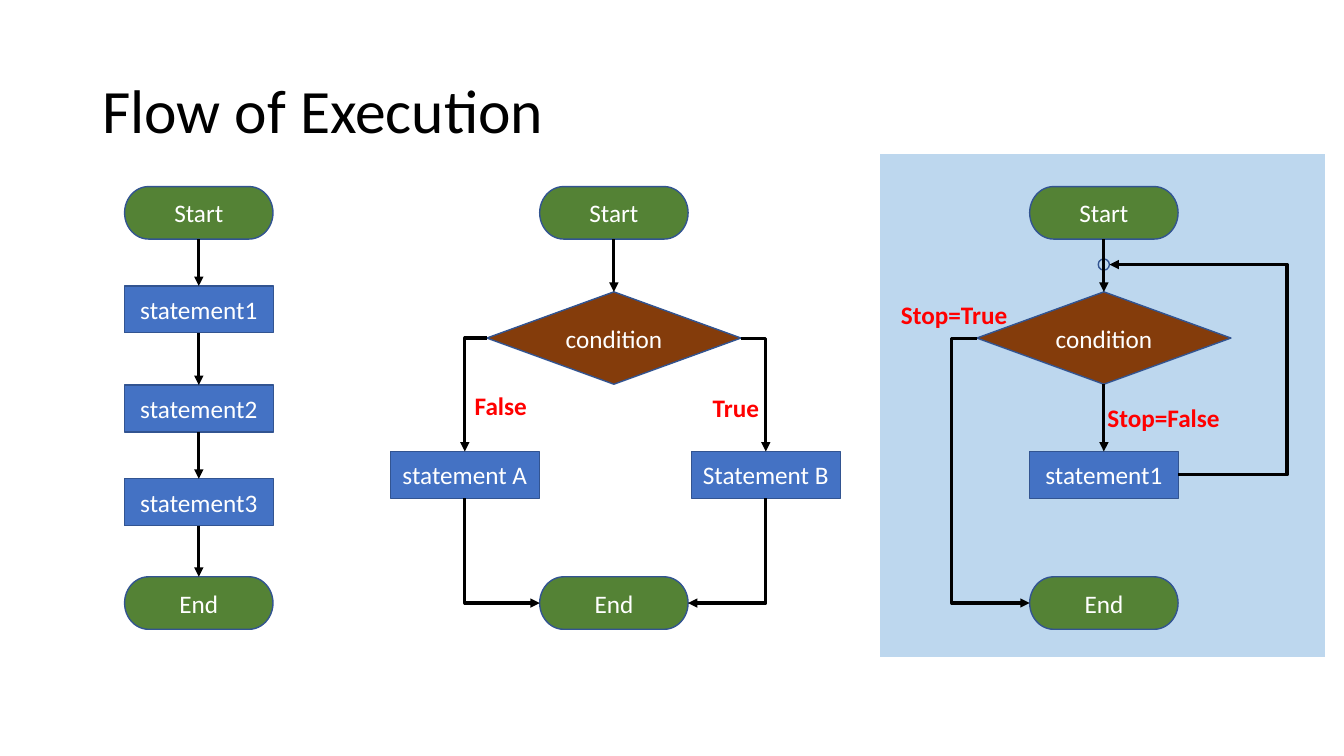
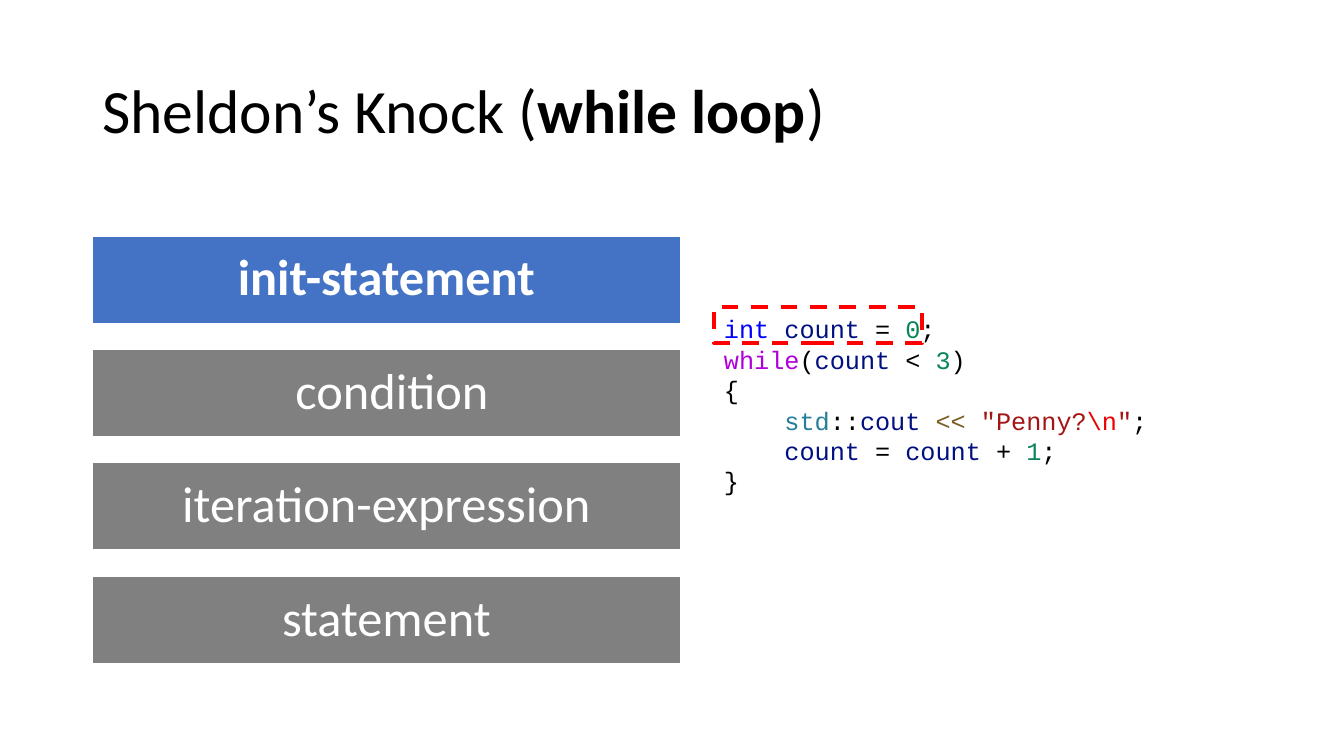
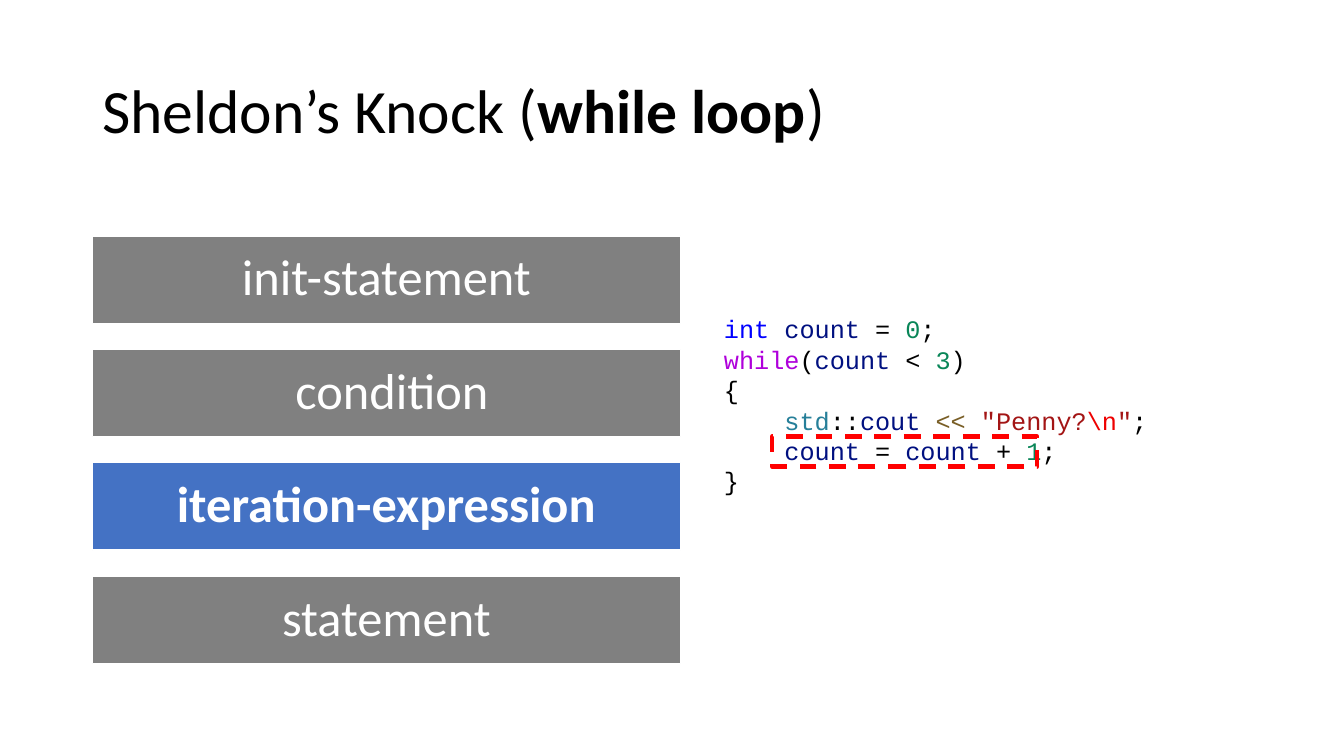
from dataclasses import dataclass
from typing import Any, NamedTuple

import lxml.etree
import pptx
import pptx.dml.color
import pptx.enum.dml
import pptx.enum.shapes
import pptx.enum.text
import pptx.oxml.ns
import pptx.shapes.autoshape
import pptx.shapes.connector
import pptx.slide
import pptx.util

Pt = pptx.util.Pt
qn = pptx.oxml.ns.qn
MSO_SHAPE = pptx.enum.shapes.MSO_SHAPE
MSO_CONNECTOR = pptx.enum.shapes.MSO_CONNECTOR
PP_ALIGN = pptx.enum.text.PP_ALIGN
MSO_ANCHOR = pptx.enum.text.MSO_ANCHOR
TOP, LEFT, BOTTOM, RIGHT = range(4)


@dataclass(frozen=True)
class Theme:
    font: str = "Calibri"
    code_font: str = "Courier New"
    title_size: float = 44
    bar_size: float = 36
    body_size: float = 18
    black: str = "000000"
    white: str = "FFFFFF"
    red: str = "FF0000"
    blue: str = "4472C4"
    gray: str = "808080"
    green: str = "548235"
    brown: str = "843C0B"
    outline: str = "325491"
    panel: str = "BDD7EE"
    keyword: str = "0000FF"
    control: str = "AF00DB"
    variable: str = "001080"
    number: str = "098658"
    namespace: str = "267F99"
    operator: str = "795E26"
    string: str = "A31515"
    escape: str = "EE0000"


THEME = Theme()


class Box(NamedTuple):
    x: float
    y: float
    w: float
    h: float


class Run(NamedTuple):
    text: str
    color: str = THEME.black
    bold: bool = False


class CodeLine(NamedTuple):
    runs: list[Run]
    indent: float = 0


class NodeStyle(NamedTuple):
    kind: Any
    fill: str
    w: float
    h: float


class Node(NamedTuple):
    key: str
    text: str
    style: NodeStyle
    center: float
    top: float


class Link(NamedTuple):
    start: str
    start_side: int
    end: str
    end_side: int


class Elbow(NamedTuple):
    link: Link
    preset: str
    rot: int = 0
    flips: str = ""
    adj: int | None = None
    end_site: int | None = None


class Label(NamedTuple):
    text: str
    x: float
    y: float
    w: float


TERMINATOR = NodeStyle(MSO_SHAPE.FLOWCHART_TERMINATOR, THEME.green, 106, 37.5)
PROCESS = NodeStyle(MSO_SHAPE.FLOWCHART_PROCESS, THEME.blue, 106.5, 33.5)
DECISION = NodeStyle(MSO_SHAPE.FLOWCHART_DECISION, THEME.brown, 181.5, 66)

SEQ_X, BRANCH_X, LOOP_X = 142, 438.5, 788.5
START_Y, DECISION_Y, BODY_Y, END_Y = 133.25, 208.5, 322.5, 412

NODES = [
    Node("seq start", "Start", TERMINATOR, SEQ_X, START_Y),
    Node("seq 1", "statement1", PROCESS, SEQ_X, 204.25),
    Node("seq 2", "statement2", PROCESS, SEQ_X, 275),
    Node("seq 3", "statement3", PROCESS, SEQ_X, 342),
    Node("seq end", "End", TERMINATOR, SEQ_X, END_Y),
    Node("branch start", "Start", TERMINATOR, BRANCH_X, START_Y),
    Node("branch if", "condition", DECISION, BRANCH_X, DECISION_Y),
    Node("branch A", "statement A", PROCESS, 332, BODY_Y),
    Node("branch B", "Statement B", PROCESS, 547, BODY_Y),
    Node("branch end", "End", TERMINATOR, BRANCH_X, END_Y),
    Node("loop start", "Start", TERMINATOR, LOOP_X, START_Y),
    Node("loop if", "condition", DECISION, LOOP_X, DECISION_Y),
    Node("loop body", "statement1", PROCESS, LOOP_X, BODY_Y),
    Node("loop end", "End", TERMINATOR, LOOP_X, END_Y),
]

DOWN_ARROWS = [
    ("seq start", "seq 1"),
    ("seq 1", "seq 2"),
    ("seq 2", "seq 3"),
    ("seq 3", "seq end"),
    ("branch start", "branch if"),
    ("loop start", "loop if"),
    ("loop if", "loop body"),
]

ELBOWS = [
    Elbow(Link("branch if", LEFT, "branch A", TOP), "bentConnector2", 180, "V"),
    Elbow(Link("branch if", RIGHT, "branch B", TOP), "bentConnector2"),
    Elbow(Link("branch A", BOTTOM, "branch end", LEFT), "bentConnector2", 270, "H"),
    Elbow(Link("branch B", BOTTOM, "branch end", RIGHT), "bentConnector2", 90),
    Elbow(Link("loop if", LEFT, "loop end", LEFT), "bentConnector3", 180, "HV", -47500),
    Elbow(Link("loop body", RIGHT, "ring", RIGHT), "bentConnector3", 0, "HV", -157600, 6),
]

LABELS = [
    Label("Stop=False", 784, 283.5, 103),
    Label("False", 332, 275, 60),
    Label("True", 502, 276.5, 54),
    Label("Stop=True", 636.5, 210, 103),
]

INDENT = 43.2
CODE = [
    CodeLine([Run("int ", THEME.keyword), Run("count", THEME.variable), Run(" = "),
              Run("0", THEME.number), Run(";")]),
    CodeLine([Run("while", THEME.control), Run("("), Run("count", THEME.variable),
              Run(" < "), Run("3", THEME.number), Run(")")]),
    CodeLine([Run("{")]),
    CodeLine([Run("std", THEME.namespace), Run("::"), Run("cout ", THEME.variable),
              Run("<< ", THEME.operator), Run('"Penny?', THEME.string),
              Run("\\n", THEME.escape), Run('"', THEME.string), Run(";")], INDENT),
    CodeLine([Run("count", THEME.variable), Run(" = "), Run("count", THEME.variable),
              Run(" + "), Run("1", THEME.number), Run(";")], INDENT),
    CodeLine([Run("}")]),
]

BARS = {"init-statement": 0, "condition": 8, "iteration-expression": 0, "statement": 0}
KNOCK_TITLE = [Run("Sheldon’s Knock ("), Run("while loop", bold=True), Run(")")]
KNOCK_STEPS = [
    ("init-statement", Box(510, 219.5, 148.5, 25.5)),
    ("iteration-expression", Box(551.5, 311.75, 189.5, 21.5)),
]


def rgb(color: str) -> pptx.dml.color.RGBColor:
    return pptx.dml.color.RGBColor.from_string(color)


def apply(target: Any, values: dict[str, Any]) -> None:
    for name, value in values.items():
        setattr(target, name, value)


def add_runs(p: Any, runs: list[Run], size: float, font: str = THEME.font) -> None:
    for run in runs:
        r = p.add_run()
        r.text = run.text
        apply(r.font, {"size": Pt(size), "name": font, "bold": run.bold})
        r.font.color.rgb = rgb(run.color)


def add_box(s: pptx.slide.Slide, kind: Any, box: Box, fill: str | None = None,
            line: str | None = None, width: float = 1) -> pptx.shapes.autoshape.Shape:
    sp = s.shapes.add_shape(kind, *map(Pt, box))
    sp.shadow.inherit = False
    if fill:
        sp.fill.solid()
        sp.fill.fore_color.rgb = rgb(fill)
    else:
        sp.fill.background()
    if line:
        sp.line.color.rgb = rgb(line)
        sp.line.width = Pt(width)
    else:
        sp.line.fill.background()
    return sp


def add_text(s: pptx.slide.Slide, box: Box) -> Any:
    tf = s.shapes.add_textbox(*map(Pt, box)).text_frame
    tf.word_wrap = True
    return tf


def add_title(s: pptx.slide.Slide, runs: list[Run]) -> None:
    tf = add_text(s, Box(66, 28.75, 828, 104.5))
    tf.vertical_anchor = MSO_ANCHOR.MIDDLE
    p = tf.paragraphs[0]
    p.line_spacing = 0.9
    add_runs(p, runs, THEME.title_size)


def add_node(s: pptx.slide.Slide, node: Node) -> pptx.shapes.autoshape.Shape:
    style = node.style
    box = Box(node.center - style.w / 2, node.top, style.w, style.h)
    sp = add_box(s, style.kind, box, style.fill, THEME.outline)
    tf = sp.text_frame
    apply(tf, {"word_wrap": True, "vertical_anchor": MSO_ANCHOR.MIDDLE,
               "margin_left": 0, "margin_right": 0})
    p = tf.paragraphs[0]
    p.alignment = PP_ALIGN.CENTER
    add_runs(p, [Run(node.text, THEME.white)], THEME.body_size)
    return sp


def add_arrow(s: pptx.slide.Slide, shapes: dict[str, Any], link: Link,
              kind: Any = MSO_CONNECTOR.STRAIGHT) -> pptx.shapes.connector.Connector:
    cxn = s.shapes.add_connector(kind, 0, 0, 0, 0)
    cxn.begin_connect(shapes[link.start], link.start_side)
    cxn.end_connect(shapes[link.end], link.end_side)
    cxn.line.color.rgb = rgb(THEME.black)
    cxn.line.width = Pt(2.25)
    props = cxn._element.spPr
    lxml.etree.SubElement(props.find(qn("a:ln")), qn("a:tailEnd"), type="triangle")
    lxml.etree.SubElement(props, qn("a:effectLst"))
    return cxn


def add_elbow(s: pptx.slide.Slide, shapes: dict[str, Any], elbow: Elbow) -> None:
    cxn = add_arrow(s, shapes, elbow.link, MSO_CONNECTOR.ELBOW)
    if elbow.rot in (90, 270):
        w, h = cxn.width, cxn.height
        shift = (w - h) // 2
        apply(cxn, {"left": cxn.left + shift, "top": cxn.top - shift,
                    "width": h, "height": w})
    xfrm = cxn._element.spPr.find(qn("a:xfrm"))
    xfrm.set("rot", str(elbow.rot * 60000))
    for axis in "HV":
        xfrm.set(f"flip{axis}", str(int(axis in elbow.flips)))
    geom = cxn._element.spPr.find(qn("a:prstGeom"))
    geom.set("prst", elbow.preset)
    if elbow.adj is not None:
        guides = geom.find(qn("a:avLst"))
        if guides is None:
            guides = lxml.etree.SubElement(geom, qn("a:avLst"))
        lxml.etree.SubElement(guides, qn("a:gd"), name="adj1", fmla=f"val {elbow.adj}")
    if elbow.end_site is not None:
        cxn._element.find(".//" + qn("a:endCxn")).set("idx", str(elbow.end_site))


def add_bars(s: pptx.slide.Slide, active: str) -> None:
    for i, (text, shift) in enumerate(BARS.items()):
        on = text == active
        box = Box(66, 168.5 + 81 * i, 420, 62.5)
        sp = add_box(s, MSO_SHAPE.RECTANGLE, box, THEME.blue if on else THEME.gray, THEME.white)
        tf = sp.text_frame
        apply(tf, {"word_wrap": True, "vertical_anchor": MSO_ANCHOR.MIDDLE,
                   "margin_left": Pt(10.8 + shift), "margin_right": Pt(10.8),
                   "margin_top": Pt(10.8), "margin_bottom": Pt(10.8)})
        p = tf.paragraphs[0]
        apply(p, {"alignment": PP_ALIGN.CENTER, "line_spacing": 0.9})
        add_runs(p, [Run(text, THEME.white, on)], THEME.bar_size)


def add_code(s: pptx.slide.Slide) -> None:
    tf = add_text(s, Box(510, 220.5, 392.5, 138))
    for i, line in enumerate(CODE):
        p = tf.add_paragraph() if i else tf.paragraphs[0]
        p.line_spacing = Pt(21.7)
        p._p.get_or_add_pPr().set("marL", str(int(Pt(line.indent))))
        add_runs(p, line.runs, THEME.body_size, THEME.code_font)


def build_flow(s: pptx.slide.Slide) -> None:
    add_box(s, MSO_SHAPE.FLOWCHART_PROCESS, Box(628.5, 109.75, 318, 359.5), THEME.panel)
    shapes = {"ring": add_box(s, MSO_SHAPE.OVAL, Box(LOOP_X - 4, 185, 8, 8), line=THEME.outline)}
    add_title(s, [Run("Flow of Execution")])
    for node in NODES:
        shapes[node.key] = add_node(s, node)
    for start, end in DOWN_ARROWS:
        add_arrow(s, shapes, Link(start, BOTTOM, end, TOP))
    for elbow in ELBOWS:
        add_elbow(s, shapes, elbow)
    for label in LABELS:
        tf = add_text(s, Box(label.x, label.y, label.w, 29))
        add_runs(tf.paragraphs[0], [Run(label.text, THEME.red, True)], THEME.body_size)


def build_knock(s: pptx.slide.Slide, active: str, highlight: Box) -> None:
    add_code(s)
    add_title(s, KNOCK_TITLE)
    add_bars(s, active)
    sp = add_box(s, MSO_SHAPE.RECTANGLE, highlight, line=THEME.red, width=3)
    sp.line.dash_style = pptx.enum.dml.MSO_LINE.DASH


def main() -> None:
    prs = pptx.Presentation()
    apply(prs, {"slide_width": Pt(960), "slide_height": Pt(540)})
    blank = prs.slide_layouts[6]
    build_flow(prs.slides.add_slide(blank))
    for active, highlight in KNOCK_STEPS:
        build_knock(prs.slides.add_slide(blank), active, highlight)
    prs.save("out.pptx")


if __name__ == "__main__":
    main()
